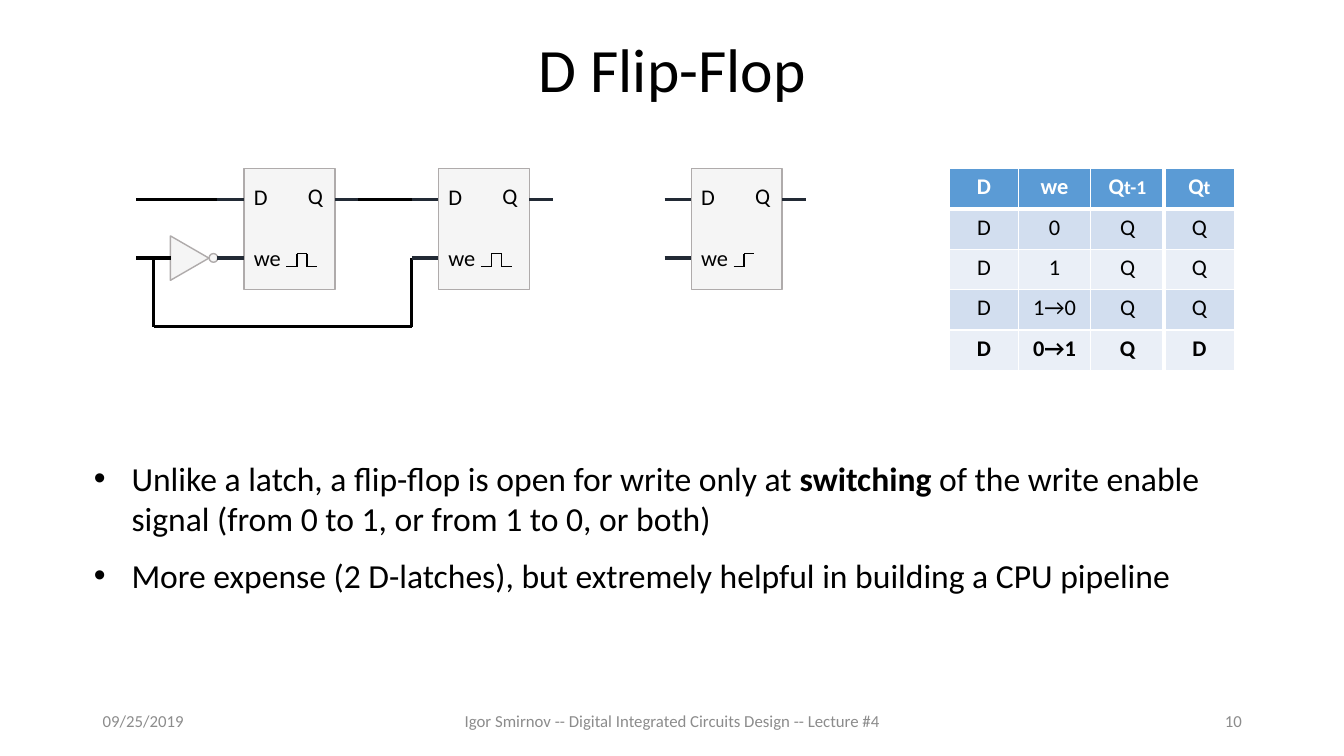
from lxml.etree import SubElement
from pptx import Presentation
from pptx.dml.color import RGBColor
from pptx.enum.shapes import MSO_CONNECTOR, MSO_SHAPE
from pptx.enum.text import MSO_ANCHOR, MSO_AUTO_SIZE, PP_ALIGN
from pptx.oxml.ns import qn
from pptx.util import Cm, Pt

# Content: a run is (text, format), a paragraph is a list of runs
TITLE = "D Flip-Flop"
POINTS = [
    [("Unlike a latch, a flip-flop is open for write only at ", {}),
     ("switching", {"bold": True}),
     (" of the write enable signal (from 0 to 1, or from 1 to 0, or both)", {})],
    [("More expense (2 D-latches), but extremely helpful in building a CPU pipeline", {})],
]
SMALL = {"size": 14}
HEAD = ["D", "we", [("Q", {}), ("t-1", SMALL)], [("Q", {}), ("t", SMALL)]]
ROWS = [HEAD, "D 0 Q Q".split(), "D 1 Q Q".split(),
        "D 1→0 Q Q".split(), "D 0→1 Q D".split()]
COLS = [1.73, 1.83, 1.85, 1.77]
FOOT = [  # text, left, width, alignment
    ("09/25/2019", 2.34, 7.62, PP_ALIGN.LEFT),
    ("Igor Smirnov -- Digital Integrated Circuits Design -- Lecture #4",
     11.23, 11.43, PP_ALIGN.CENTER),
    ("10", 23.93, 7.62, PP_ALIGN.RIGHT),
]

# Clock marks, in steps from the start of the mark
PULSE = [(0, 0), (1, 0), (1, 1), (2, 1), (2, 0), (3, 0)]
EDGE = [(0, 0), (1, 0), (1, 1), (2, 1)]
BLOCKS = [(17.42, EDGE), (11.05, PULSE), (6.15, PULSE)]
LABELS = [("D", 0, 0.25, 0.86), ("we", 0, 1.78, 1.24), ("Q", 1.36, 0.23, 0.89)]

# Circuit measures in cm
TOP, WIDE, HIGH = 4.24, 2.29, 3.05
DATA, GATE, LOOP = 5.03, 6.5, 8.23
STUB, OUT = 0.67, 0.59
BLACK, NAVY, PALE, GRAY = "000000", "222A35", "F5F5F5", "AFABAB"


def rgb(code):
    return RGBColor.from_string(code)


def write(frame, paras, size=16, color=BLACK, bold=False,
          align=PP_ALIGN.LEFT, line=None, before=None):
    for i, para in enumerate(paras):
        p = frame.paragraphs[0] if i == 0 else frame.add_paragraph()
        p.alignment, p.line_spacing = align, line
        if before is not None:
            p.space_before = Pt(before)
        for text, extra in [(para, {})] if isinstance(para, str) else para:
            run = p.add_run()
            run.text = text
            font = run.font
            font.name = "Calibri"
            font.size = Pt(extra.get("size", size))
            font.bold = extra.get("bold", bold)
            font.color.rgb = rgb(color)


def place(shape, x, y, w, h):
    shape.left, shape.top, shape.width, shape.height = Cm(x), Cm(y), Cm(w), Cm(h)


def label(text, x, y, w, h, wrap=False, anchor=MSO_ANCHOR.TOP, **style):
    frame = slide.shapes.add_textbox(Cm(x), Cm(y), Cm(w), Cm(h)).text_frame
    frame.word_wrap, frame.vertical_anchor = wrap, anchor
    write(frame, [text], **style)


def solid(kind, x, y, w, h, turn=0):
    shape = slide.shapes.add_shape(kind, Cm(x), Cm(y), Cm(w), Cm(h))
    shape.shadow.inherit = False
    shape.rotation = turn
    shape.fill.solid()
    shape.fill.fore_color.rgb = rgb(PALE)
    shape.line.color.rgb = rgb(GRAY)
    shape.line.width = Pt(1)


def wire(*dots, color=BLACK, width=2.25):
    for (x1, y1), (x2, y2) in zip(dots, dots[1:]):
        part = slide.shapes.add_connector(
            MSO_CONNECTOR.STRAIGHT, Cm(x1), Cm(y1), Cm(x2), Cm(y2))
        part.line.color.rgb = rgb(color)
        part.line.width = Pt(width)
        SubElement(part._element.spPr, qn("a:effectLst"))


def block(x, mark):
    solid(MSO_SHAPE.RECTANGLE, x, TOP, WIDE, HIGH)
    for y in (DATA, GATE):
        wire((x - STUB, y), (x, y), color=NAVY)
    wire((x + WIDE, DATA), (x + WIDE + OUT, DATA), color=NAVY)
    for text, dx, dy, w in LABELS:
        label(text, x + dx, TOP + dy, w, 0.94)
    wire(*[(x + 1.07 + 0.26 * i, TOP + 2.48 - 0.33 * j) for i, j in mark], width=1)


def border(cell, **widths):
    props = cell._tc.get_or_add_tcPr()
    for side in "LRTB":
        edge = SubElement(props, qn("a:ln" + side), w=str(Pt(widths.get(side, 1))))
        fill = SubElement(edge, qn("a:solidFill"))
        SubElement(fill, qn("a:srgbClr"), val="FFFFFF")


deck = Presentation()
deck.slide_width, deck.slide_height = Cm(33.87), Cm(19.05)
slide = deck.slides.add_slide(deck.slide_layouts[1])

# Title and list
title, body = slide.placeholders
place(title, 2.34, 0, 29.21, 3.68)
title.text_frame.vertical_anchor = MSO_ANCHOR.MIDDLE
write(title.text_frame, [TITLE], size=44, align=PP_ALIGN.CENTER, line=0.9)
place(body, 2.11, 11.4, 29.21, 5.16)
write(body.text_frame, POINTS, size=24, before=12)
for p in body.text_frame.paragraphs:
    props = p._p.get_or_add_pPr()
    props.set("marL", str(Cm(0.95)))
    props.set("indent", str(-Cm(0.95)))
    SubElement(props, qn("a:buChar"), char="•")
for shape in (title, body):
    shape.text_frame.auto_size = MSO_AUTO_SIZE.NONE

# Footer
for text, x, w, align in FOOT:
    label(text, x, 17.65, w, 1.02, wrap=True, anchor=MSO_ANCHOR.MIDDLE,
          size=12, color="8C8C8C", align=align)

# Inverter and wires
solid(MSO_SHAPE.ISOSCELES_TRIANGLE, 4.22, 6.02, 1.12, 0.97, turn=90)
solid(MSO_SHAPE.OVAL, 5.27, 6.39, 0.22, 0.22)
wire((3.43, DATA), (6.15, DATA))
wire((3.43, GATE), (4.3, GATE))
wire((3.87, GATE), (3.87, LOOP), (10.38, LOOP), (10.38, GATE))
wire((8.42, DATA), (11.05, DATA))

# Latches and flip-flop
for x, mark in BLOCKS:
    block(x, mark)

# Truth table
grid = slide.shapes.add_table(len(ROWS), len(COLS), Cm(23.93), Cm(TOP),
                              Cm(sum(COLS)), Cm(1.02 * len(ROWS))).table
for col, w in zip(grid.columns, COLS):
    col.width = Cm(w)
for r, row in enumerate(ROWS):
    head = r == 0
    for c, text in enumerate(row):
        cell = grid.cell(r, c)
        border(cell, L=3 if c == 3 else 1, R=3 if c == 2 else 1,
               T=3 if r == 1 else 1, B=3 if head else 1)
        cell.fill.solid()
        cell.fill.fore_color.rgb = rgb(
            "5B9BD5" if head else "D2DEEF" if r % 2 else "EAEFF7")
        write(cell.text_frame, [text], color="FFFFFF" if head else BLACK,
              bold=r in (0, len(ROWS) - 1), align=PP_ALIGN.CENTER)

deck.save("out.pptx")
